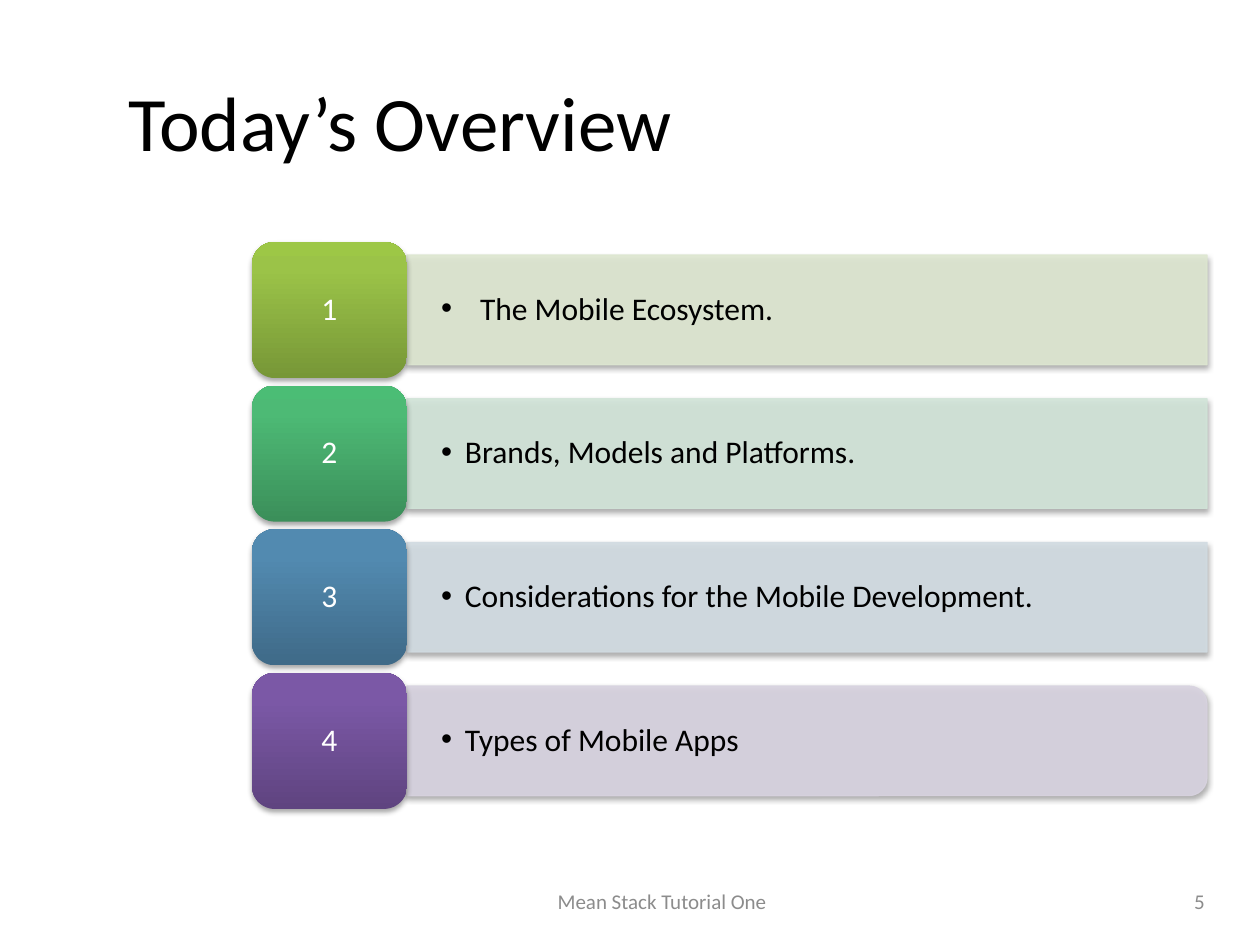
from dataclasses import dataclass

import lxml.etree
import pptx
import pptx.dml.color
import pptx.enum.shapes
import pptx.enum.text
import pptx.oxml.ns
import pptx.util
from pptx.dml.color import RGBColor
from pptx.enum.shapes import MSO_SHAPE
from pptx.enum.text import MSO_ANCHOR, PP_ALIGN
from pptx.util import Inches, Pt

BLACK = RGBColor(0x00, 0x00, 0x00)
WHITE = RGBColor(0xFF, 0xFF, 0xFF)
FOOTER_GRAY = RGBColor(0x8C, 0x8C, 0x8C)
GREEN_BAR = RGBColor(0xDE, 0xE7, 0xD1)
GREEN_DARK = RGBColor(0x77, 0x97, 0x37)
GREEN_MID = RGBColor(0x9B, 0xC3, 0x48)
GREEN_LIGHT = RGBColor(0x9D, 0xC7, 0x46)
TEAL_BAR = RGBColor(0xD2, 0xE5, 0xD9)
TEAL_DARK = RGBColor(0x3B, 0x8F, 0x5A)
TEAL_MID = RGBColor(0x4D, 0xBA, 0x75)
TEAL_LIGHT = RGBColor(0x4B, 0xBD, 0x75)
BLUE_BAR = RGBColor(0xD2, 0xDC, 0xE2)
BLUE_DARK = RGBColor(0x3F, 0x6A, 0x88)
BLUE_MID = RGBColor(0x52, 0x8A, 0xB0)
BLUE_LIGHT = RGBColor(0x51, 0x8B, 0xB3)
PURPLE_BAR = RGBColor(0xD8, 0xD3, 0xE0)
PURPLE_DARK = RGBColor(0x5F, 0x44, 0x80)
PURPLE_MID = RGBColor(0x7B, 0x58, 0xA6)
PURPLE_LIGHT = RGBColor(0x7C, 0x57, 0xA8)

FONT = "Calibri"
BADGE_LEFT, BADGE_WIDTH, BADGE_HEIGHT = 2.0, 1.23, 1.08
BAR_LEFT, BAR_WIDTH, BAR_HEIGHT = BADGE_LEFT + BADGE_WIDTH, 6.35, 0.87
FIRST_TOP, ROW_PITCH = 1.92, 1.14


@dataclass(frozen=True)
class Topic:
    label: str
    bar_color: RGBColor
    badge_colors: tuple[RGBColor, RGBColor, RGBColor]
    bar_shape: MSO_SHAPE = MSO_SHAPE.RECTANGLE
    indent: float = 0.19


TOPICS = [
    Topic("The Mobile Ecosystem.", GREEN_BAR,
          (GREEN_DARK, GREEN_MID, GREEN_LIGHT), indent=0.31),
    Topic("Brands, Models and Platforms.", TEAL_BAR,
          (TEAL_DARK, TEAL_MID, TEAL_LIGHT)),
    Topic("Considerations for the Mobile Development.", BLUE_BAR,
          (BLUE_DARK, BLUE_MID, BLUE_LIGHT)),
    Topic("Types of Mobile Apps", PURPLE_BAR,
          (PURPLE_DARK, PURPLE_MID, PURPLE_LIGHT),
          MSO_SHAPE.ROUND_2_SAME_RECTANGLE),
]


def add_child(parent, tag: str, **attributes: str):
    return lxml.etree.SubElement(parent, pptx.oxml.ns.qn(tag), attributes)


def write(frame, text: str, size: float, color: RGBColor, align: PP_ALIGN):
    frame.word_wrap = True
    frame.vertical_anchor = MSO_ANCHOR.MIDDLE
    paragraph = frame.paragraphs[0]
    paragraph.alignment = align
    run = paragraph.add_run()
    run.text = text
    run.font.name = FONT
    run.font.size = Pt(size)
    run.font.color.rgb = color
    return paragraph


def set_margins(frame, horizontal: float, vertical: float) -> None:
    frame.margin_left = frame.margin_right = Inches(horizontal)
    frame.margin_top = frame.margin_bottom = Inches(vertical)


def add_soft_shadow(shape) -> None:
    shape.shadow.inherit = False
    effects = shape._element.spPr.find(pptx.oxml.ns.qn("a:effectLst"))
    shadow = add_child(effects, "a:outerShdw", blurRad="40000", dist="23000",
                       dir="5400000", rotWithShape="0")
    black = add_child(shadow, "a:srgbClr", val=str(BLACK))
    add_child(black, "a:alpha", val="35000")


def add_bar(slide, topic: Topic, top: float) -> None:
    center_x = BAR_LEFT + BAR_WIDTH / 2
    center_y = top + BAR_HEIGHT / 2
    bar = slide.shapes.add_shape(
        topic.bar_shape, Inches(center_x - BAR_HEIGHT / 2),
        Inches(center_y - BAR_WIDTH / 2), Inches(BAR_HEIGHT), Inches(BAR_WIDTH))
    bar.rotation = 90
    bar.fill.solid()
    bar.fill.fore_color.rgb = topic.bar_color
    bar.line.color.rgb = topic.bar_color
    bar.line.width = Pt(0.75)
    for color in bar._element.spPr.iter(pptx.oxml.ns.qn("a:srgbClr")):
        add_child(color, "a:alpha", val="90000")
    add_soft_shadow(bar)


def add_label(slide, topic: Topic, top: float) -> None:
    label = slide.shapes.add_textbox(
        Inches(BAR_LEFT), Inches(top), Inches(BAR_WIDTH), Inches(BAR_HEIGHT))
    set_margins(label.text_frame, 0.27, 0.14)
    paragraph = write(label.text_frame, topic.label, 18, BLACK, PP_ALIGN.LEFT)
    paragraph.line_spacing = 0.9
    properties = paragraph._p.get_or_add_pPr()
    properties.set("marL", str(Inches(topic.indent)))
    properties.set("indent", str(-Inches(topic.indent)))
    add_child(properties, "a:buFont", typeface="Arial")
    add_child(properties, "a:buChar", char="•")


def add_badge(slide, number: int, topic: Topic, top: float) -> None:
    badge = slide.shapes.add_shape(
        MSO_SHAPE.ROUNDED_RECTANGLE, Inches(BADGE_LEFT), Inches(top),
        Inches(BADGE_WIDTH), Inches(BADGE_HEIGHT))
    badge.fill.gradient()
    badge.fill.gradient_angle = 90
    stops = badge._element.spPr.find(".//" + pptx.oxml.ns.qn("a:gsLst"))
    for stop in list(stops):
        stops.remove(stop)
    for position, color in zip((0, 80, 100), topic.badge_colors):
        stop = add_child(stops, "a:gs", pos=str(position * 1000))
        add_child(stop, "a:srgbClr", val=str(color))
    badge.line.fill.background()
    add_soft_shadow(badge)
    set_margins(badge.text_frame, 0.07, 0.04)
    paragraph = write(badge.text_frame, str(number), 18, WHITE, PP_ALIGN.CENTER)
    paragraph.line_spacing = 0.9


def add_footer(slide, text: str, left: float, width: float, align: PP_ALIGN) -> None:
    footer = slide.shapes.add_textbox(
        Inches(left), Inches(6.95), Inches(width), Inches(0.4))
    write(footer.text_frame, text, 12, FOOTER_GRAY, align)


def main() -> None:
    presentation = pptx.Presentation()
    presentation.slide_width = Inches(10)
    presentation.slide_height = Inches(7.5)
    slide = presentation.slides.add_slide(presentation.slide_layouts[5])

    title = slide.shapes.title
    title.left, title.top = Inches(0.92), Inches(0.33)
    title.width, title.height = Inches(8.83), Inches(1.25)
    write(title.text_frame, "Today’s Overview", 44, BLACK, PP_ALIGN.LEFT)

    for row, topic in enumerate(TOPICS):
        badge_top = FIRST_TOP + row * ROW_PITCH
        bar_top = badge_top + (BADGE_HEIGHT - BAR_HEIGHT) / 2
        add_bar(slide, topic, bar_top)
        add_label(slide, topic, bar_top)
        add_badge(slide, row + 1, topic, badge_top)

    add_footer(slide, "Mean Stack Tutorial One", 3.67, 3.17, PP_ALIGN.CENTER)
    add_footer(slide, "5", 7.33, 2.33, PP_ALIGN.RIGHT)
    presentation.save("out.pptx")


if __name__ == "__main__":
    main()
